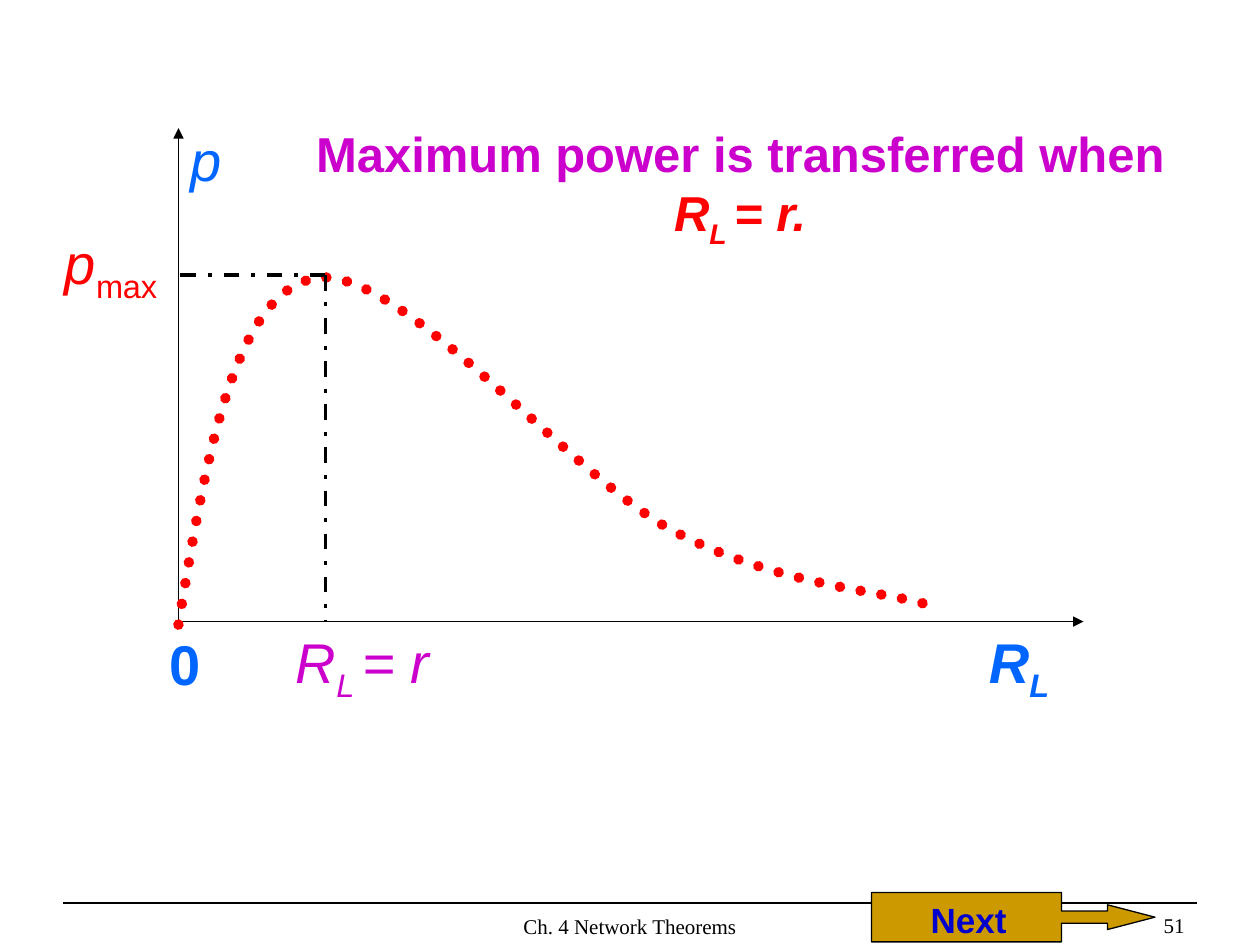
from dataclasses import dataclass

from lxml.etree import SubElement
from pptx import Presentation
from pptx.dml.color import RGBColor
from pptx.enum.dml import MSO_LINE_DASH_STYLE as Dash
from pptx.enum.shapes import MSO_CONNECTOR as Connector, MSO_SHAPE as Preset
from pptx.enum.text import MSO_ANCHOR as Anchor, MSO_AUTO_SIZE as AutoSize, PP_ALIGN as Align
from pptx.oxml.ns import qn
from pptx.util import Inches, Pt

COLUMNS, ROWS = 120, 90
BLACK, RED, BLUE, PURPLE, GOLD, NAVY = "000000", "FF0000", "0066FF", "CC00CC", "CC9900", "0000CC"
AXIS_COLUMN, AXIS_ROW = 17, 59.2
PEAK_COLUMN, PEAK_ROW = 31, 26.2
SAMPLES = 40


@dataclass
class Area:
    column: float
    row: float
    width: float
    height: float


@dataclass
class Wording:
    text: str
    color: str
    bold: bool = False
    italic: bool = False
    lowered: bool = False


@dataclass
class Line:
    start: tuple[float, float]
    end: tuple[float, float]
    width: float
    arrow: bool = False
    dashed: bool = False


@dataclass
class Label:
    area: Area
    wordings: list[Wording]


LINES = [
    Line((6, 86), (114, 86), 1.5),
    Line((AXIS_COLUMN, AXIS_ROW), (AXIS_COLUMN, 12.2), 0.75, arrow=True),
    Line((AXIS_COLUMN, AXIS_ROW), (103.2, AXIS_ROW), 1, arrow=True),
]
GUIDES = [
    Line((PEAK_COLUMN, PEAK_ROW), (AXIS_COLUMN, PEAK_ROW), 2.25, dashed=True),
    Line((PEAK_COLUMN, PEAK_ROW), (PEAK_COLUMN, AXIS_ROW), 2.25, dashed=True),
]
CURVE_START = (17, 59.5)
CURVE = [
    ((19.6, 43.8), (22.2, 28), (30, 26.5)),
    ((37.8, 25), (54.4, 45.4), (64, 50.5)),
    ((73.7, 55.7), (84, 56.3), (88, 57.5)),
]
LABELS = [
    Label(Area(17, 11.4, 7, 7.7), [Wording("p", BLUE, italic=True)]),
    Label(Area(93, AXIS_ROW, 11, 8.5),
          [Wording("R", BLUE, True, True), Wording("L", BLUE, True, True, True)]),
    Label(Area(15, 59.4, 8, 7.7), [Wording("0", BLUE, bold=True)]),
    Label(Area(5, 21.2, 18, 8.5),
          [Wording("p", RED, italic=True), Wording("max", RED, lowered=True)]),
    Label(Area(27, AXIS_ROW, 21, 8.5),
          [Wording("R", PURPLE, italic=True), Wording("L ", PURPLE, italic=True, lowered=True),
           Wording("= r", PURPLE, italic=True)]),
]
TITLE_AREA = Area(27, 11.2, 87, 13.2)
TITLE = [
    Wording("Maximum power is transferred when ", PURPLE, True),
    Wording("R", RED, True, True),
    Wording("L ", RED, True, True, True),
    Wording("= r.", RED, True, True),
]

deck = Presentation()
deck.slide_width, deck.slide_height = Inches(10), Inches(7.5)
page = deck.slides.add_slide(deck.slide_layouts[5])


def across(column: float) -> int:
    return round(deck.slide_width * column / COLUMNS)


def down(row: float) -> int:
    return round(deck.slide_height * row / ROWS)


def point(place: tuple[float, float]) -> tuple[int, int]:
    return across(place[0]), down(place[1])


def bounds(area: Area) -> tuple[int, int, int, int]:
    return across(area.column), down(area.row), across(area.width), down(area.height)


def paint(color_format, color: str) -> None:
    color_format.rgb = RGBColor.from_string(color)


def write(box, wordings: list[Wording], *, size: float, font: str = "Arial",
          align: Align = Align.LEFT, anchor: Anchor = Anchor.TOP) -> None:
    frame = box.text_frame
    frame.word_wrap = True
    frame.auto_size = AutoSize.NONE
    frame.vertical_anchor = anchor
    para = frame.paragraphs[0]
    para.alignment = align
    for wording in wordings:
        span = para.add_run()
        span.text = wording.text
        span.font.name, span.font.size = font, Pt(size)
        span.font.bold, span.font.italic = wording.bold, wording.italic
        paint(span.font.color, wording.color)
        if wording.lowered:
            span.font._element.set("baseline", "-25000")


def add_text(area: Area, wordings: list[Wording], **format_options) -> None:
    write(page.shapes.add_textbox(*bounds(area)), wordings, **format_options)


def draw_line(line: Line) -> None:
    connector = page.shapes.add_connector(
        Connector.STRAIGHT, *point(line.start), *point(line.end))
    connector.line.width = Pt(line.width)
    paint(connector.line.color, BLACK)
    if line.dashed:
        connector.line.dash_style = Dash.DASH_DOT
    if line.arrow:
        SubElement(connector.line._get_or_add_ln(), qn("a:tailEnd"), type="triangle")
    SubElement(connector._element.spPr, qn("a:effectLst"))


def bezier(corners: list[tuple[float, float]], share: float) -> tuple[float, float]:
    rest = 1 - share
    weights = (rest ** 3, 3 * rest ** 2 * share, 3 * rest * share ** 2, share ** 3)
    return tuple(sum(weight * corner[axis] for weight, corner in zip(weights, corners))
                 for axis in (0, 1))


def draw_curve() -> None:
    places, start = [], CURVE_START
    for segment in CURVE:
        corners = [start, *segment]
        places += [point(bezier(corners, step / SAMPLES)) for step in range(1, SAMPLES + 1)]
        start = segment[-1]
    builder = page.shapes.build_freeform(*point(CURVE_START))
    builder.add_line_segments(places, close=False)
    curve = builder.convert_to_shape()
    curve.shadow.inherit = False
    curve.fill.background()
    curve.line.width = Pt(6)
    paint(curve.line.color, RED)
    curve.line.dash_style = Dash.ROUND_DOT
    outline = curve.line._get_or_add_ln()
    outline.set("cap", "rnd")
    SubElement(outline, qn("a:round"))


def draw_next_button() -> None:
    button = page.shapes.add_shape(Preset.RIGHT_ARROW_CALLOUT, *bounds(Area(83, 85, 27, 4.7)))
    for index, value in enumerate((0.25, 0.25, 0.96, 0.67)):
        button.adjustments[index] = value
    button.shadow.inherit = False
    button.fill.solid()
    paint(button.fill.fore_color, GOLD)
    button.line.width = Pt(0.75)
    paint(button.line.color, BLACK)
    add_text(Area(84, 85, 15.6, 5.3), [Wording(" Next", NAVY, True)], size=20, align=Align.CENTER)


def main() -> None:
    for line in LINES:
        draw_line(line)
    draw_curve()
    for line in GUIDES:
        draw_line(line)
    for label in LABELS:
        add_text(label.area, label.wordings, size=32)
    title = page.shapes.title
    title.left, title.top, title.width, title.height = bounds(TITLE_AREA)
    write(title, TITLE, size=28, align=Align.CENTER)
    draw_next_button()
    footer = {"size": 12, "font": "Times New Roman", "anchor": Anchor.BOTTOM}
    add_text(Area(41, 84, 38, 6), [Wording("Ch. 4 Network Theorems", BLACK)],
             align=Align.CENTER, **footer)
    add_text(Area(86, 83.9, 28, 6), [Wording("51", BLACK)], align=Align.RIGHT, **footer)
    deck.save("out.pptx")


if __name__ == "__main__":
    main()
